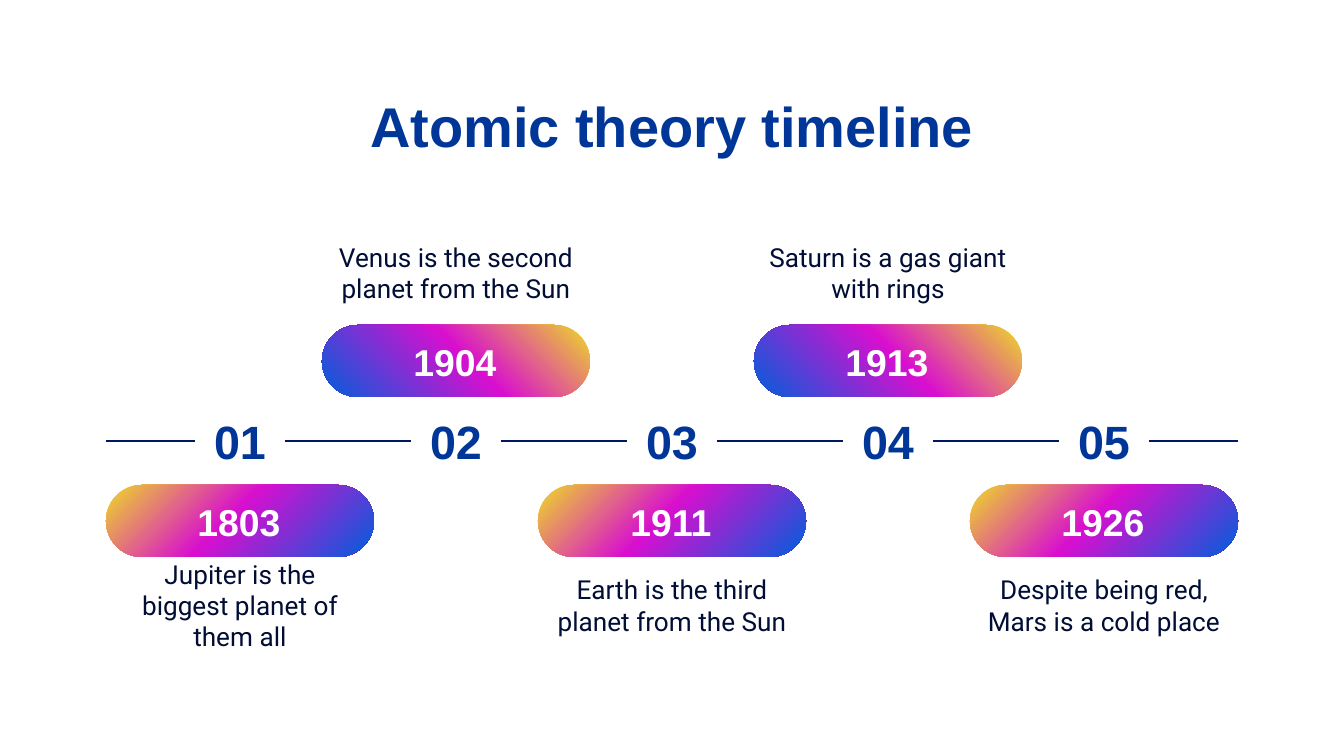
from copy import deepcopy
from dataclasses import dataclass
from itertools import pairwise

from lxml.etree import SubElement
from pptx import Presentation
from pptx.dml.color import RGBColor as Rgb
from pptx.enum.shapes import MSO_CONNECTOR as Connector, MSO_SHAPE as Shape
from pptx.enum.text import MSO_ANCHOR as Anchor, MSO_AUTO_SIZE as AutoSize, PP_ALIGN as Align
from pptx.oxml.ns import qn
from pptx.util import Emu, Inches, Pt


@dataclass(frozen=True)
class TextStyle:
    font: str
    size: int
    color: str
    bold: bool = True


@dataclass(frozen=True)
class Theme:
    title: TextStyle = TextStyle("Arial", 30, "003697")
    number: TextStyle = TextStyle("Arial", 25, "003697")
    year: TextStyle = TextStyle("Arial", 20, "FFFFFF")
    caption: TextStyle = TextStyle("Roboto", 14, "000D35", False)
    gradient: tuple = ((0, "EEDB28"), (0.46, "D80FCF"), (1, "005FDB"))
    axis: str = "001861"
    axis_width: float = 1.5


def px(length):
    return Emu(round(length * Inches(1) / 134.4))


class TimelineSlide:
    """Draws timeline elements on one slide in a shared theme."""

    def __init__(self, slide, theme):
        self.slide = slide
        self.theme = theme

    def fill_text(self, holder, words, style, anchor):
        frame = holder.text_frame
        frame.word_wrap = True
        frame.auto_size = AutoSize.NONE
        frame.vertical_anchor = anchor
        frame.margin_left = frame.margin_right = px(13)
        frame.margin_top = frame.margin_bottom = px(13)
        paragraph = frame.paragraphs[0]
        paragraph.alignment = Align.CENTER
        run = paragraph.add_run()
        run.text = words
        run.font.name = style.font
        run.font.size = Pt(style.size)
        run.font.bold = style.bold
        run.font.color.rgb = Rgb.from_string(style.color)

    def title(self, words, left, top, width, height):
        heading = self.slide.shapes.title
        heading.left, heading.top = px(left), px(top)
        heading.width, heading.height = px(width), px(height)
        self.fill_text(heading, words, self.theme.title, Anchor.TOP)

    def text(self, words, style, center, top, width, height, anchor=Anchor.TOP):
        box = self.slide.shapes.add_textbox(
            px(center - width / 2), px(top), px(width), px(height))
        self.fill_text(box, words, style, anchor)

    def pill(self, center, top, width, height, mirrored):
        pill = self.slide.shapes.add_shape(
            Shape.ROUNDED_RECTANGLE, px(center - width / 2), px(top), px(width), px(height))
        pill.adjustments[0] = 0.5
        pill.shadow.inherit = False
        pill.line.fill.background()
        pill.fill.gradient()
        pill.fill.gradient_angle = 315
        properties = pill._element.spPr
        stops = properties.find(qn("a:gradFill")).find(qn("a:gsLst"))
        stops.append(deepcopy(stops[0]))
        for stop, (position, color) in zip(pill.fill.gradient_stops, self.theme.gradient):
            stop.position = position
            stop.color.rgb = Rgb.from_string(color)
        if mirrored:
            properties.find(qn("a:xfrm")).set("flipH", "1")

    def axis(self, start, end, height):
        axis = self.slide.shapes.add_connector(
            Connector.STRAIGHT, px(start), px(height), px(end), px(height))
        axis.line.color.rgb = Rgb.from_string(self.theme.axis)
        axis.line.width = Pt(self.theme.axis_width)
        SubElement(axis._element.spPr, qn("a:effectLst"))


EVENTS = (
    ("1803", "Jupiter is the biggest planet of them all"),
    ("1904", "Venus is the second planet from the Sun"),
    ("1911", "Earth is the third planet from the Sun"),
    ("1913", "Saturn is a gas giant with rings"),
    ("1926", "Despite being red, Mars is a cold place"),
)
FIRST_CENTER, STEP = 240, 216
EVENT_WIDTH, NUMBER_WIDTH = 268, 90
LEFT, RIGHT = 106, 1238


def main():
    deck = Presentation()
    deck.slide_width, deck.slide_height = px(1344), px(756)
    theme = Theme()
    timeline = TimelineSlide(deck.slides.add_slide(deck.slide_layouts[5]), theme)
    timeline.title("Atomic theory timeline", LEFT, 79, RIGHT - LEFT, 85)

    centers = [FIRST_CENTER + STEP * index for index in range(len(EVENTS))]
    for index, (center, (year, caption)) in enumerate(zip(centers, EVENTS)):
        above = index % 2 == 1
        pill_top, caption_top, caption_anchor = (
            (325, 228, Anchor.TOP) if above else (485, 556, Anchor.MIDDLE))
        timeline.text(f"{index + 1:02}", theme.number, center, 409, NUMBER_WIDTH, 64,
                      Anchor.MIDDLE)
        timeline.pill(center, pill_top, EVENT_WIDTH, 72, above)
        timeline.text(year, theme.year, center - 1, pill_top + 1, 246, 51)
        timeline.text(caption, theme.caption, center, caption_top, EVENT_WIDTH, 98,
                      caption_anchor)

    half = NUMBER_WIDTH // 2
    for before, after in pairwise([LEFT - half, *centers, RIGHT + half]):
        timeline.axis(before + half, after - half, 441)

    deck.save("out.pptx")


if __name__ == "__main__":
    main()
